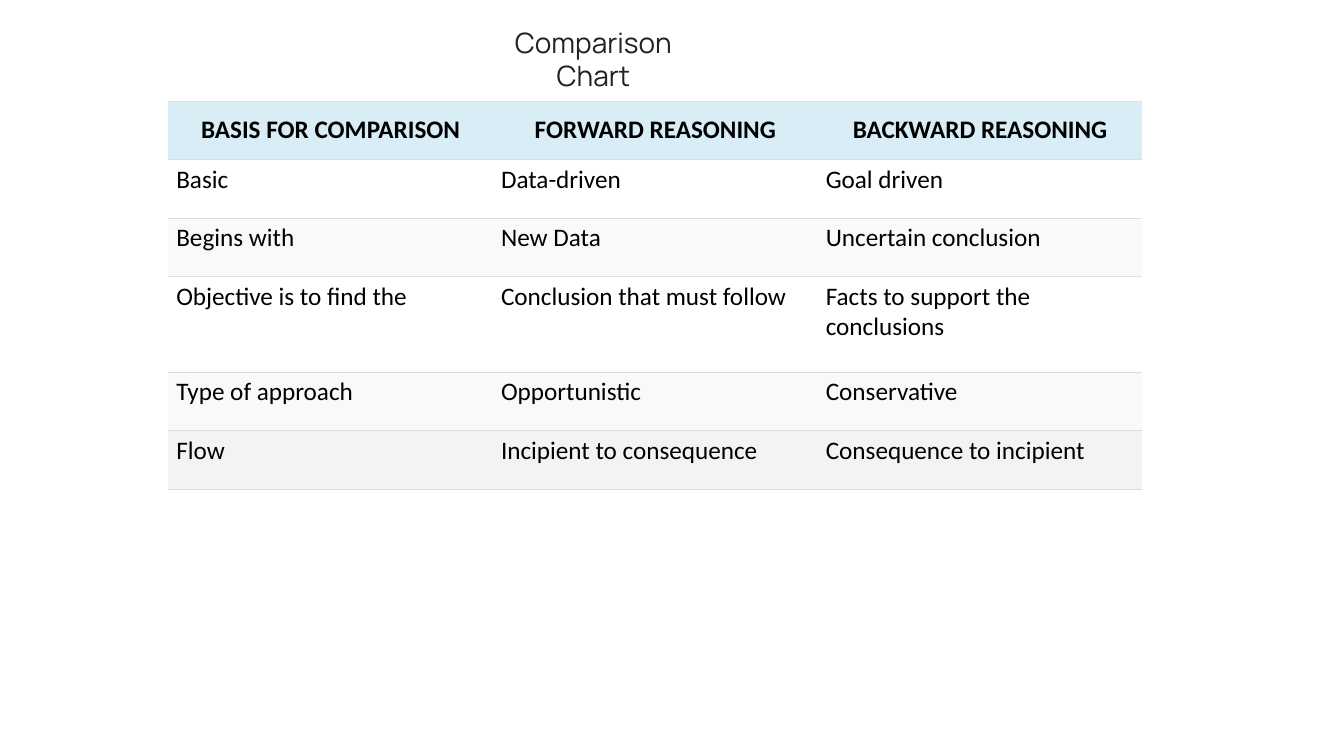
from lxml.etree import SubElement
from pptx import Presentation
from pptx.dml.color import RGBColor
from pptx.enum.text import MSO_ANCHOR, PP_ALIGN
from pptx.oxml.ns import qn
from pptx.util import Inches, Pt

TITLE = "Comparison Chart"
HEADINGS = ("BASIS FOR COMPARISON", "FORWARD REASONING", "BACKWARD REASONING")
COMPARISONS = [
    ("Basic", "Data-driven", "Goal driven"),
    ("Begins with", "New Data", "Uncertain conclusion"),
    ("Objective is to find the", "Conclusion that must follow",
     "Facts to support the conclusions"),
    ("Type of approach", "Opportunistic", "Conservative"),
    ("Flow", "Incipient to consequence", "Consequence to incipient"),
]
COLORS = {"title": "222222", "text": "000000", "heading": "D9EDF7", "plain": "FFFFFF",
          "band": "F9F9F9", "flow": "F3F3F3", "rule": "DDDDDD"}
ROW_FILLS = ("heading", "plain", "band", "plain", "band", "flow")
ROW_HEIGHTS = (0.58, 0.58, 0.58, 0.95, 0.58, 0.58)
TABLE_LEFT, TABLE_TOP, TABLE_WIDTH = 1.67, 1, 9.67


def style_text(paragraph, font_name, size, color, bold=False):
    """Set the font of every run in a paragraph."""
    for run in paragraph.runs:
        run.font.name = font_name
        run.font.size = Pt(size)
        run.font.bold = bold
        run.font.color.rgb = RGBColor.from_string(COLORS[color])


def add_borders(cell):
    """Rule a cell above and below and leave its sides open."""
    properties = cell._tc.get_or_add_tcPr()
    for side in ("lnL", "lnR", "lnT", "lnB"):
        border = SubElement(properties, qn(f"a:{side}"), w=str(Pt(0.34)))
        if side in ("lnL", "lnR"):
            SubElement(border, qn("a:noFill"))
        else:
            rule = SubElement(border, qn("a:solidFill"))
            SubElement(rule, qn("a:srgbClr"), val=COLORS["rule"])


def add_comparison(slide):
    """Add the table of forward and backward reasoning."""
    rows = [HEADINGS, *COMPARISONS]
    table = slide.shapes.add_table(
        len(rows), len(HEADINGS), Inches(TABLE_LEFT), Inches(TABLE_TOP),
        Inches(TABLE_WIDTH), Inches(sum(ROW_HEIGHTS))).table
    table.first_row = table.horz_banding = False
    for column in table.columns:
        column.width = Inches(TABLE_WIDTH / len(HEADINGS))
    for r, (entries, fill, height) in enumerate(zip(rows, ROW_FILLS, ROW_HEIGHTS)):
        table.rows[r].height = Inches(height)
        is_heading = r == 0
        for c, entry in enumerate(entries):
            cell = table.cell(r, c)
            cell.margin_left = cell.margin_right = Inches(0.08)
            cell.margin_top = cell.margin_bottom = Inches(0.05)
            cell.vertical_anchor = MSO_ANCHOR.MIDDLE if is_heading else MSO_ANCHOR.TOP
            add_borders(cell)
            cell.fill.solid()
            cell.fill.fore_color.rgb = RGBColor.from_string(COLORS[fill])
            cell.text_frame.text = entry
            paragraph = cell.text_frame.paragraphs[0]
            paragraph.alignment = PP_ALIGN.CENTER if is_heading else PP_ALIGN.LEFT
            style_text(paragraph, "Calibri", 18, "text", is_heading)


def add_title(slide):
    """Add the title over the table."""
    frame = slide.shapes.add_textbox(
        Inches(4.75), Inches(0.25), Inches(2.28), Inches(1.16)).text_frame
    frame.word_wrap = True
    frame.vertical_anchor = MSO_ANCHOR.TOP
    frame.margin_left = frame.margin_right = frame.margin_top = 0
    frame.margin_bottom = Inches(0.16)
    frame.text = TITLE
    frame.paragraphs[0].alignment = PP_ALIGN.CENTER
    style_text(frame.paragraphs[0], "Manrope", 20, "title")


def main():
    """Build and save the comparison slide."""
    deck = Presentation()
    deck.slide_width, deck.slide_height = Inches(13.34), Inches(7.5)
    slide = deck.slides.add_slide(deck.slide_layouts[6])
    add_comparison(slide)
    add_title(slide)
    deck.save("out.pptx")


if __name__ == "__main__":
    main()
